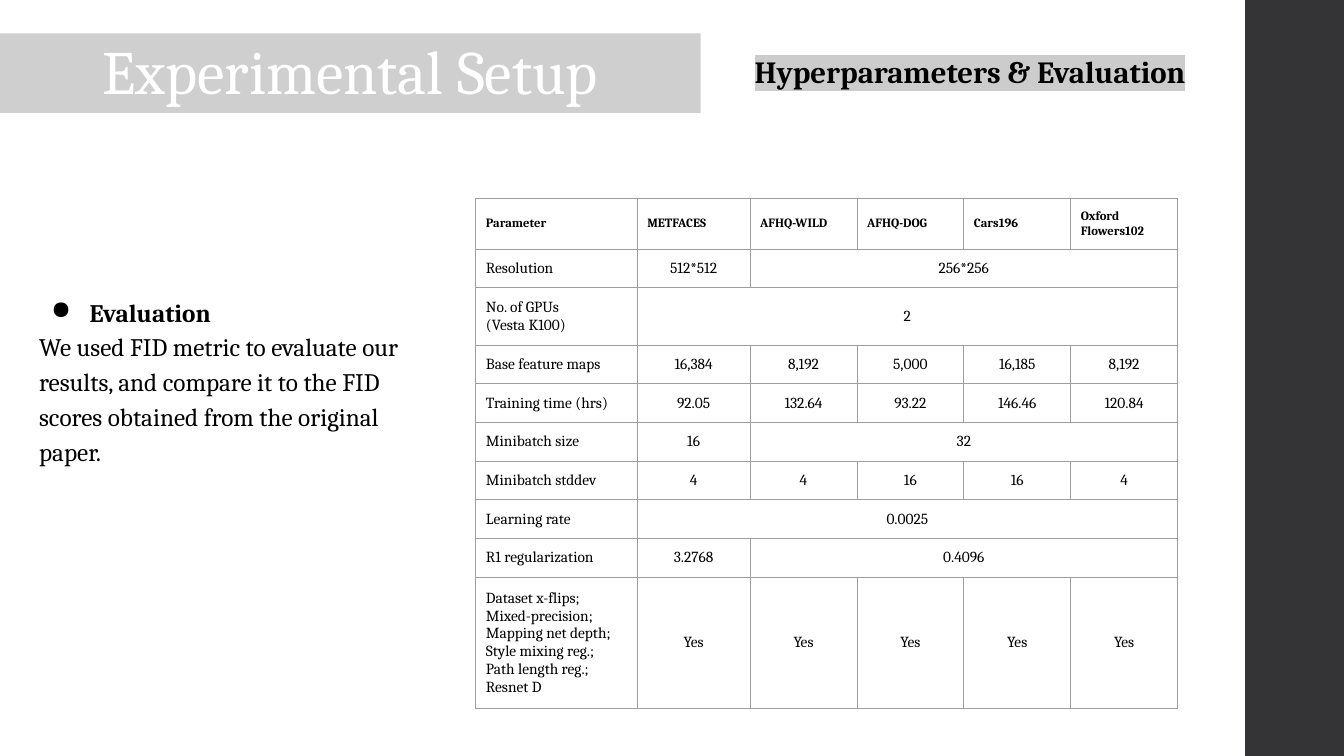
from dataclasses import dataclass

from lxml import etree
from pptx import Presentation
from pptx.dml.color import RGBColor
from pptx.enum import shapes, text
from pptx.oxml import ns
from pptx.util import Inches, Pt


@dataclass(frozen=True)
class Theme:
    font: str = "Cambria"
    ink: str = "000000"
    paper: str = "FFFFFF"
    sidebar: str = "343437"
    banner: str = "46464A"
    grid: str = "9E9E9E"
    highlight: str = "CCCCCC"
    title_size: int = 44
    heading_size: int = 22
    body_size: int = 18
    cell_size: int = 11
    header_size: int = 9


theme = Theme()
ALIGN = text.PP_ALIGN


def style(paragraph, size, color=theme.ink, bold=False, align=None, spacing=None):
    paragraph.font.name = theme.font
    paragraph.font.size = Pt(size)
    paragraph.font.bold = bold
    paragraph.font.color.rgb = RGBColor.from_string(color)
    paragraph.alignment = align
    paragraph.line_spacing = spacing


def add_color(parent, tag, color):
    """Append an element holding one RGB colour and return the colour."""
    holder = etree.SubElement(parent, ns.qn(tag))
    return etree.SubElement(holder, ns.qn("a:srgbClr"), val=color)


prs = Presentation()
prs.slide_width, prs.slide_height = Inches(13.33), Inches(7.5)
slide = prs.slides.add_slide(prs.slide_layouts[6])

# Sidebar and title banner
sidebar = slide.shapes.add_shape(
    shapes.MSO_SHAPE.RECTANGLE, Inches(12.35), 0, Inches(1), Inches(7.5))
banner = slide.shapes.add_shape(
    shapes.MSO_SHAPE.RECTANGLE, 0, Inches(0.33), Inches(6.95), Inches(0.79))
for panel, color in ((sidebar, theme.sidebar), (banner, theme.banner)):
    panel.shadow.inherit = False
    panel.fill.solid()
    panel.fill.fore_color.rgb = RGBColor.from_string(color)
    panel.line.fill.background()
banner_color = banner._element.spPr.find(".//" + ns.qn("a:srgbClr"))
etree.SubElement(banner_color, ns.qn("a:alpha"), val="26000")

title = banner.text_frame
title.word_wrap = True
title.vertical_anchor = text.MSO_ANCHOR.BOTTOM
title.text = "Experimental Setup"
style(title.paragraphs[0], theme.title_size, theme.paper,
      align=ALIGN.CENTER, spacing=0.9)

# Evaluation note and section heading
evaluation = slide.shapes.add_textbox(
    Inches(0.29), Inches(2.8), Inches(3.96), Inches(1.9)).text_frame
heading = slide.shapes.add_textbox(
    Inches(6.98), Inches(0.42), Inches(5.28), Inches(0.57)).text_frame
for frame in (evaluation, heading):
    frame.word_wrap = True
    frame.margin_left = frame.margin_right = Inches(0.1)
    frame.margin_top = frame.margin_bottom = Inches(0.1)

evaluation.text = (
    "Evaluation\n"
    "We used FID metric to evaluate our results, and compare it to the FID "
    "scores obtained from the original paper.")
topic, explanation = evaluation.paragraphs
bullet = topic._p.get_or_add_pPr()
bullet.set("marL", str(Inches(0.5)))
bullet.set("indent", str(Inches(-0.38)))
add_color(bullet, "a:buClr", theme.ink)
etree.SubElement(bullet, ns.qn("a:buChar"), char="●")
style(topic, theme.body_size, bold=True, spacing=1.15)
style(explanation, theme.body_size, spacing=1.15)

heading.text = "Hyperparameters & Evaluation"
style(heading.paragraphs[0], theme.heading_size, bold=True, align=ALIGN.CENTER)
marked = heading.paragraphs[0].runs[0]
add_color(marked._r.get_or_add_rPr(), "a:highlight", theme.highlight)

# Hyperparameter table: None continues the cell to its left
hyperparameters = [
    ["Parameter", "METFACES", "AFHQ-WILD", "AFHQ-DOG", "Cars196", "Oxford\nFlowers102"],
    ["Resolution", "512*512", "256*256", None, None, None],
    ["No. of GPUs\n(Vesta K100)", "2", None, None, None, None],
    ["Base feature maps", "16,384", "8,192", "5,000", "16,185", "8,192"],
    ["Training time (hrs)", "92.05", "132.64", "93.22", "146.46", "120.84"],
    ["Minibatch size", "16", "32", None, None, None],
    ["Minibatch stddev", "4", "4", "16", "16", "4"],
    ["Learning rate", "0.0025", None, None, None, None],
    ["R1 regularization", "3.2768", "0.4096", None, None, None],
    ["Dataset x-flips;\nMixed-precision;\nMapping net depth;\n"
     "Style mixing reg.;\nPath length reg.;\nResnet D"] + ["Yes"] * 5,
]
column_widths = [1.6, 1.12] + [1.06] * 4
row_height = 0.37
table = slide.shapes.add_table(
    len(hyperparameters), len(column_widths), Inches(4.72), Inches(1.97),
    Inches(sum(column_widths)), Inches(row_height * len(hyperparameters))).table
table.first_row = table.horz_banding = False
for column, width in zip(table.columns, column_widths):
    column.width = Inches(width)

for r, values in enumerate(hyperparameters):
    table.rows[r].height = Inches(row_height)
    for c, value in enumerate(values):
        cell = table.cell(r, c)
        cell.margin_left = cell.margin_right = Inches(0.1)
        cell.margin_top = cell.margin_bottom = Inches(0.1)
        cell.vertical_anchor = text.MSO_ANCHOR.MIDDLE
        borders = cell._tc.get_or_add_tcPr()
        for side in ("a:lnL", "a:lnR", "a:lnT", "a:lnB"):
            edge = etree.SubElement(borders, ns.qn(side), w=str(Pt(0.75)))
            add_color(edge, "a:solidFill", theme.grid)
        cell.fill.background()
        if value is None:
            continue
        cell.text = value
        is_header = r == 0
        if c == 0:
            align = ALIGN.LEFT
        else:
            align = ALIGN.JUSTIFY if is_header else ALIGN.CENTER
        for paragraph in cell.text_frame.paragraphs:
            style(paragraph, theme.header_size if is_header else theme.cell_size,
                  bold=is_header, align=align)
    if None in values:
        table.cell(r, values.index(None) - 1).merge(table.cell(r, len(values) - 1))

prs.save("out.pptx")
